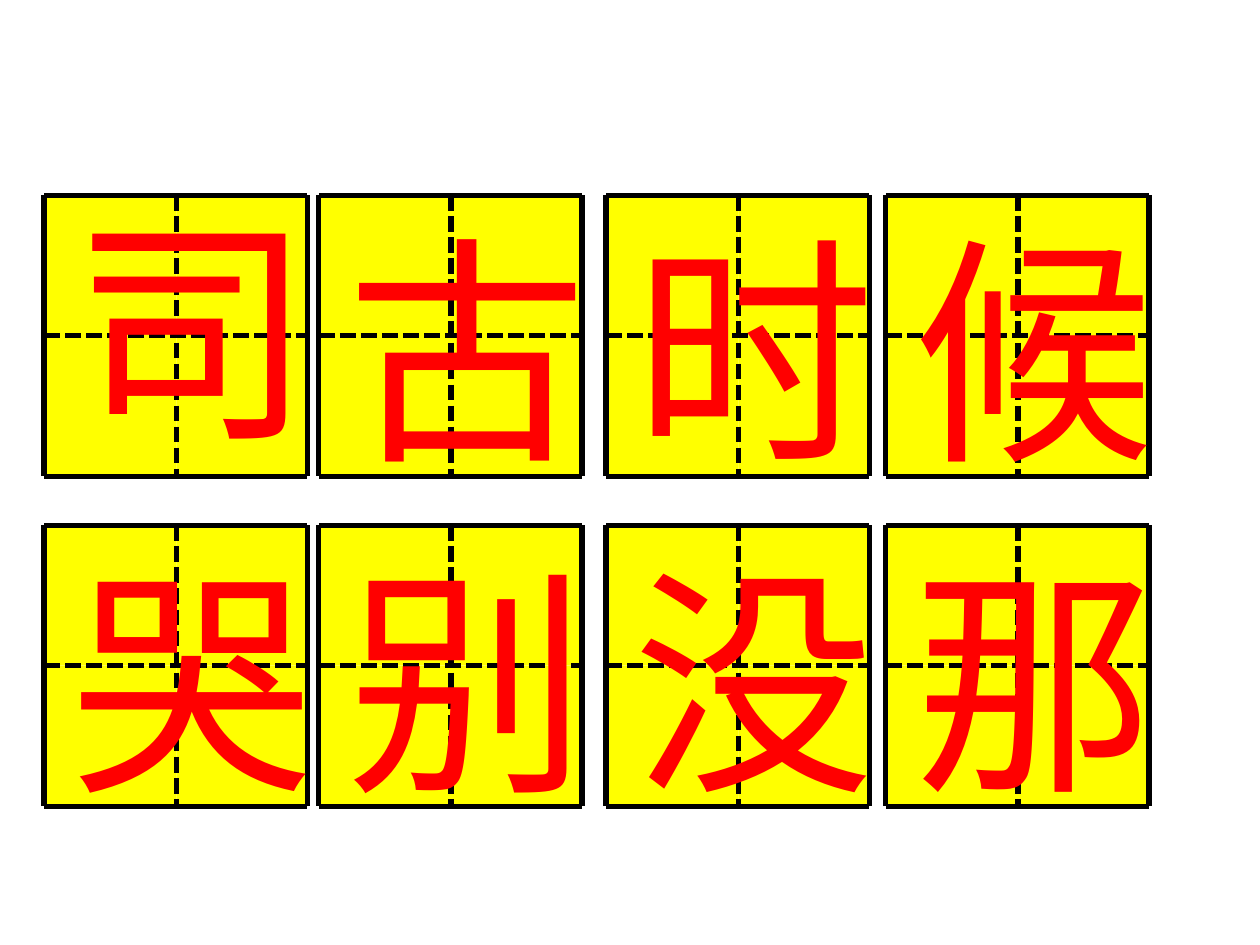
from itertools import product

from lxml.etree import SubElement
from pptx import Presentation
from pptx.dml.color import RGBColor
from pptx.enum.dml import MSO_LINE
from pptx.enum.shapes import MSO_CONNECTOR, MSO_SHAPE
from pptx.enum.text import MSO_AUTO_SIZE
from pptx.oxml.ns import qn
from pptx.util import Pt

SCALE = 9144
YELLOW = RGBColor(255, 255, 0)
RED = RGBColor(255, 0, 0)
BLACK = RGBColor(0, 0, 0)

COLUMNS = (35, 253, 481, 703)
ROWS = ((155, "司古时候"), (417, "哭别没那"))
WIDTH, HEIGHT = 209, 223
HALF_WIDTH, HALF_HEIGHT = 105, 111
RAISED = {"司": 17}


class CharacterSheet:
    font_name = "Times New Roman"
    font_size = Pt(138)
    line_width = Pt(3)

    def __init__(self, slide):
        self.slide = slide

    def rectangle(self, group, left, top, width, height):
        box = [value * SCALE for value in (left, top, width, height)]
        shape = group.shapes.add_shape(MSO_SHAPE.RECTANGLE, *box)
        shape.shadow.inherit = False
        shape.fill.solid()
        shape.fill.fore_color.rgb = YELLOW
        shape.line.fill.background()

    def line(self, group, start, end, dash=None):
        points = [value * SCALE for value in (*start, *end)]
        connector = group.shapes.add_connector(MSO_CONNECTOR.STRAIGHT, *points)
        connector.line.color.rgb = BLACK
        connector.line.width = self.line_width
        if dash:
            connector.line.dash_style = dash
        SubElement(connector._element.spPr, qn("a:effectLst"))

    def character(self, group, text, left, top):
        box = [value * SCALE for value in (left, top, 185, 240)]
        frame = group.shapes.add_textbox(*box).text_frame
        frame.word_wrap = True
        frame.auto_size = MSO_AUTO_SIZE.SHAPE_TO_FIT_TEXT
        paragraph = frame.paragraphs[0]
        paragraph.text = text
        paragraph.font.name = self.font_name
        paragraph.font.size = self.font_size
        paragraph.font.color.rgb = RED

    def practice_square(self, text, left, top):
        group = self.slide.shapes.add_group_shape()
        middle, center = left + HALF_WIDTH, top + HALF_HEIGHT
        right, bottom = left + WIDTH, top + HEIGHT
        spans_x = ((left, middle), (middle, right))
        spans_y = ((top, center), (center, bottom))
        for (x1, x2), (y1, y2) in product(spans_x, spans_y):
            self.rectangle(group, x1, y1, x2 - x1, y2 - y1)
        for x, dash in ((middle, MSO_LINE.SQUARE_DOT), (left, None), (right, None)):
            self.line(group, (x, top), (x, bottom), dash)
        for y, dash in ((center, MSO_LINE.SQUARE_DOT), (top, None), (bottom, None)):
            self.line(group, (left, y), (right, y), dash)
        self.character(group, text, left + 12, top - RAISED.get(text, 0))


def main():
    presentation = Presentation()
    presentation.slide_width = 1000 * SCALE
    presentation.slide_height = 750 * SCALE
    slide = presentation.slides.add_slide(presentation.slide_layouts[6])
    sheet = CharacterSheet(slide)
    for top, characters in ROWS:
        for left, text in zip(COLUMNS, characters):
            sheet.practice_square(text, left, top)
    presentation.save("out.pptx")


if __name__ == "__main__":
    main()
